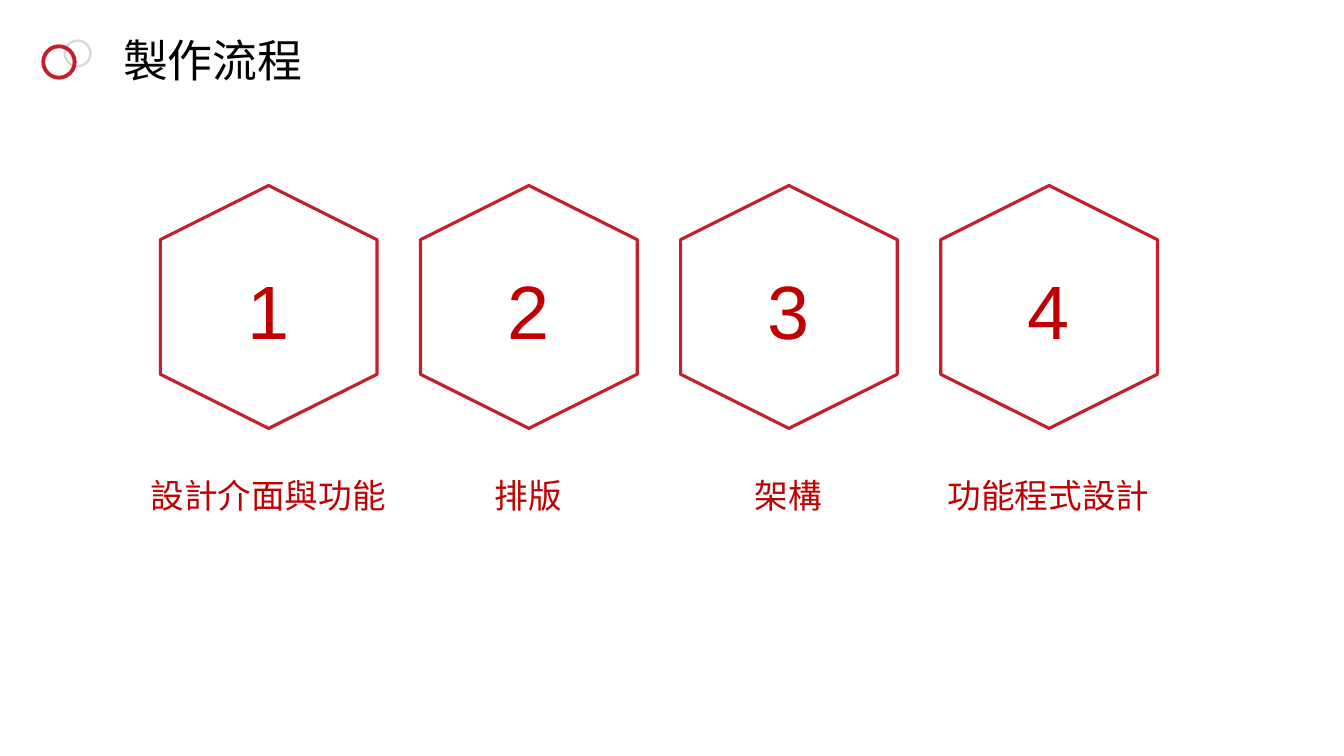
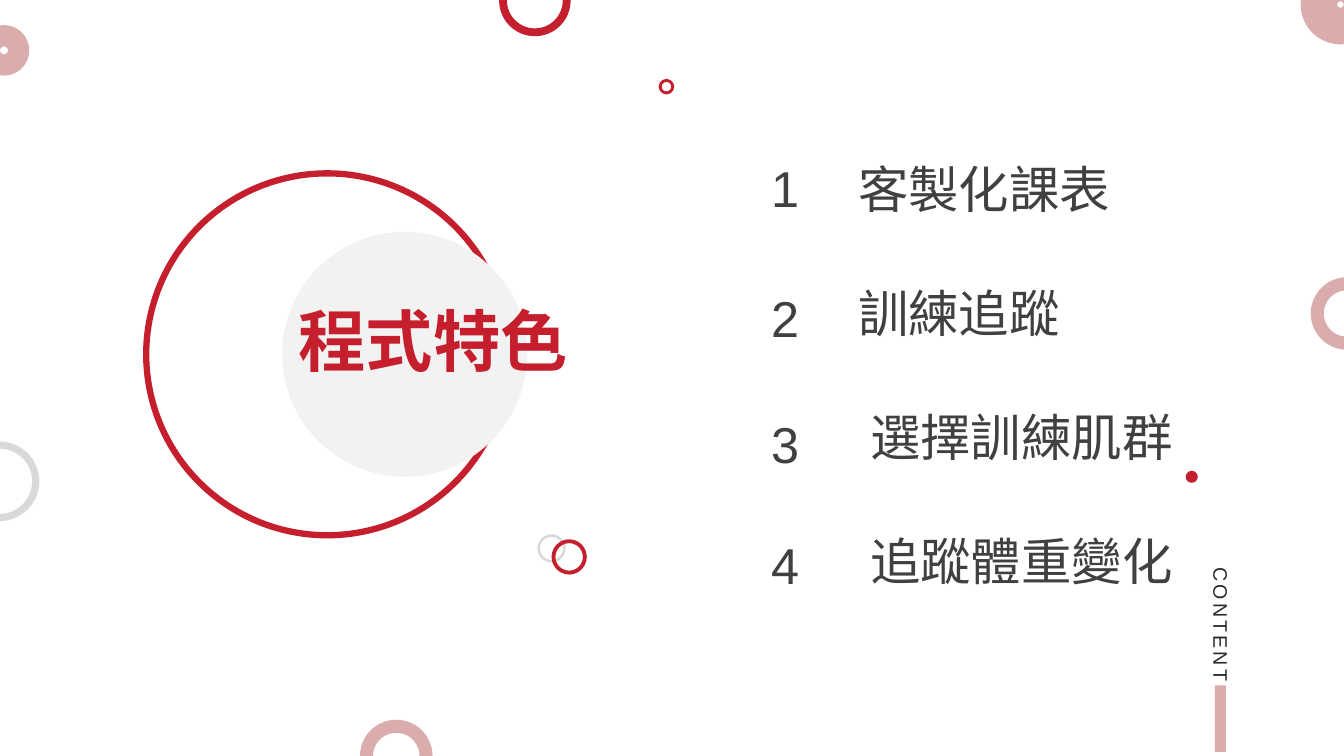
from lxml import etree
from pptx import Presentation
from pptx import util as u
from pptx.dml.color import RGBColor
from pptx.enum import shapes, text
from pptx.oxml import ns

PX = 9144  # 100 px to the inch
FONT = "Arial"
RED = RGBColor(0xC5, 0x1F, 0x2D)
DARK_RED = RGBColor(0xC0, 0x00, 0x00)
ROSE = RGBColor(0xDA, 0xAC, 0xAB)
SILVER = RGBColor(0xD9, 0xD9, 0xD9)
PALE = RGBColor(0xF2, 0xF2, 0xF2)
BLACK = RGBColor(0x00, 0x00, 0x00)
CHARCOAL = RGBColor(0x40, 0x40, 0x40)
INK = RGBColor(0x29, 0x29, 0x29)
SHAPE = shapes.MSO_SHAPE
LEFT, CENTER = text.PP_ALIGN.LEFT, text.PP_ALIGN.CENTER

STEPS = ["設計介面與功能", "排版", "架構", "功能程式設計"]
STEP_PITCH = 258
# Feature text, top of its number, extra indent
FEATURES = [("客製化課表", 151, 0), ("訓練追蹤", 280, 0),
            ("選擇訓練肌群", 405, 12), ("追蹤體重變化", 525, 12)]


def px(length):
    return u.Emu(length * PX)


def place(box, left, top, width, height):
    box.left, box.top, box.width, box.height = map(px, (left, top, width, height))


def style(para, size, color, align=LEFT, bold=False):
    para.alignment = align
    font = para.font
    font.name, font.size, font.bold = FONT, u.Pt(size), bold
    font.color.rgb = color


def add_figure(page, kind, bounds, fill=None, line=None, weight=1):
    figure = page.shapes.add_shape(kind, *map(px, bounds))
    figure.shadow.inherit = False
    if fill is None:
        figure.fill.background()
    else:
        figure.fill.solid()
        figure.fill.fore_color.rgb = fill
    if line is None:
        figure.line.fill.background()
    else:
        figure.line.color.rgb = line
        figure.line.width = u.Pt(weight)
    return figure


def add_ring(page, left, top, size, thickness, color, line=None):
    ring = add_figure(page, SHAPE.DONUT, (left, top, size, size), color, line)
    ring.adjustments[0] = thickness


def add_ring_pair(page, silver_at, red_at):
    add_ring(page, *silver_at, 28, 0.09, SILVER)
    add_ring(page, *red_at, 35, 0.11, RED)


def add_label(page, words, bounds, size, color, align=LEFT):
    box = page.shapes.add_textbox(*map(px, bounds))
    box.text_frame.word_wrap = True
    para = box.text_frame.paragraphs[0]
    para.text = words
    style(para, size, color, align)
    return box


def prepare_frame(box):
    frame = box.text_frame
    frame.word_wrap = True
    frame.auto_size = text.MSO_AUTO_SIZE.NONE
    frame.vertical_anchor = text.MSO_ANCHOR.TOP
    return frame


def set_title(page, words, bounds, size, color, align=LEFT, bold=False):
    title = page.shapes.title
    place(title, *bounds)
    para = prepare_frame(title).paragraphs[0]
    para.text = words
    style(para, size, color, align, bold)
    page.shapes._spTree.append(title._element)  # bring to front


def fill_list(body, entries, size, color, pitch):
    frame = prepare_frame(body)
    frame.text = "\n".join(words for words, _, _ in entries)
    for para, (_, _, indent) in zip(frame.paragraphs, entries):
        style(para, size, color)
        para.line_spacing = u.Pt(pitch)
        para.space_before = u.Pt(0)
        props = para._p.get_or_add_pPr()
        props.set("marL", str(px(indent)))
        props.set("indent", "0")
        bullet = etree.Element(ns.qn("a:buNone"))
        props.find(ns.qn("a:defRPr")).addprevious(bullet)


def build_process(deck):
    page = deck.slides.add_slide(deck.slide_layouts[5])
    add_ring_pair(page, (63, 39), (41, 44))
    set_title(page, "製作流程", (112, 27, 220, 64), 32, BLACK)

    # Numbered hexagons with captions
    for index, caption in enumerate(STEPS):
        shift = index * STEP_PITCH
        hexagon = add_figure(page, SHAPE.HEXAGON, (146 + shift, 197, 241, 215),
                             line=RED, weight=2.25)
        hexagon.adjustments[0] = 0.25
        hexagon.rotation = 270
        for words, top, size in ((str(index + 1), 257, 54), (caption, 466, 24)):
            add_label(page, words, (129 + shift, top, 274, 28),
                      size, DARK_RED, CENTER)


def build_features(deck):
    page = deck.slides.add_slide(deck.slide_layouts[1])

    # Large title circles
    add_figure(page, SHAPE.OVAL, (145, 172, 359, 359), line=RED, weight=4.5)
    add_figure(page, SHAPE.OVAL, (280, 230, 243, 243), PALE)
    set_title(page, "程式特色", (214, 292, 431, 91), 48, RED, CENTER, True)

    # Feature list and its numbers
    body = page.placeholders[1]
    place(body, 841, 89, 360, 510)
    fill_list(body, FEATURES, 36, CHARCOAL, 88.5)
    for number, (_, top, _) in enumerate(FEATURES, 1):
        add_label(page, str(number), (755, top, 50, 71), 36, CHARCOAL)

    # Vertical side label
    side = add_label(page, "CONTENT", (1191, 559, 39, 201), 14, INK)
    frame = side.text_frame
    frame.margin_left = frame.margin_right = px(7)
    frame.margin_top = frame.margin_bottom = px(4)
    frame._txBody.bodyPr.set("vert", "eaVert")
    frame.paragraphs[0].runs[0]._r.get_or_add_rPr().set("spc", "220")
    add_figure(page, SHAPE.RECTANGLE, (1205, 680, 11, 66), ROSE)

    # Scattered rings and dot
    add_ring_pair(page, (533, 530), (547, 535))
    for ring in ((-40, 438, 79, 0.09, SILVER),
                 (357, 714, 72, 0.18, ROSE),
                 (-21, 25, 50, 0.42, ROSE),
                 (495, -35, 71, 0.11, RED),
                 (654, 79, 14, 0.11, RED, RED),
                 (1300, 275, 72, 0.18, ROSE),
                 (1290, -35, 79, 0.46, ROSE)):
        add_ring(page, *ring)
    add_figure(page, SHAPE.OVAL, (1176, 467, 12, 12), RED)


def main():
    deck = Presentation()
    deck.slide_width, deck.slide_height = px(1333), px(750)
    build_process(deck)
    build_features(deck)
    deck.save("out.pptx")


if __name__ == "__main__":
    main()
